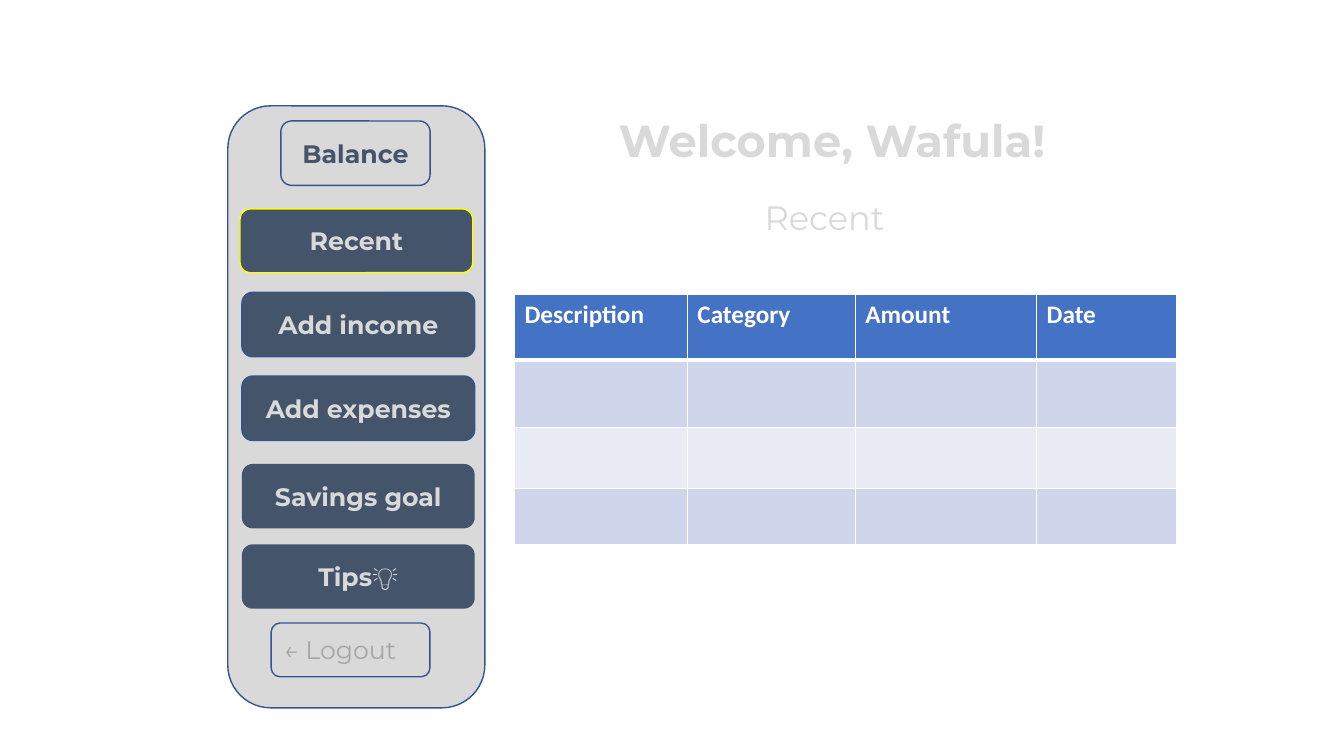
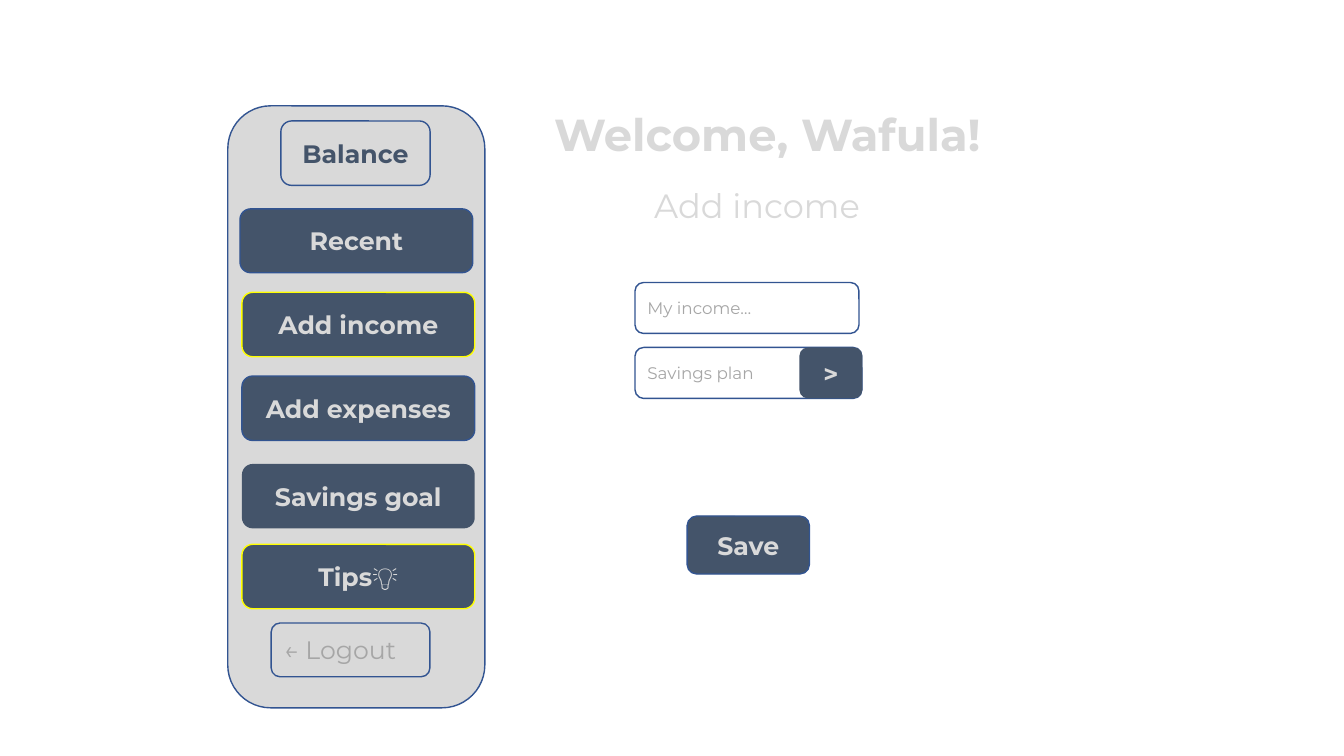
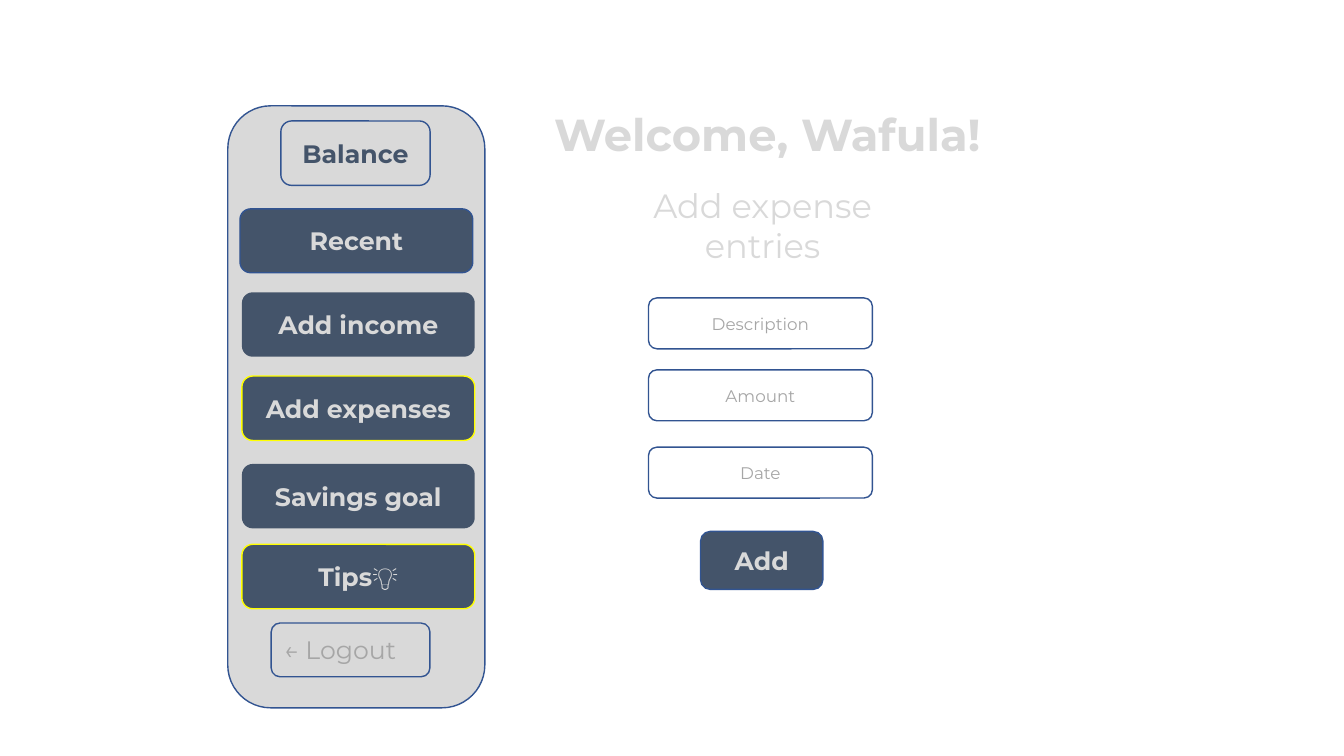
from dataclasses import dataclass

from pptx import Presentation
from pptx.dml.color import RGBColor
from pptx.enum.shapes import MSO_SHAPE
from pptx.enum.text import MSO_ANCHOR, MSO_AUTO_SIZE, PP_ALIGN
from pptx.oxml import parse_xml
from pptx.oxml.ns import nsdecls
from pptx.util import Pt


@dataclass(frozen=True)
class Theme:
    font: str = "Montserrat"
    grid_font: str = "Calibri"
    pale: str = "D9D9D9"
    navy: str = "44546A"
    edge: str = "325491"
    glow: str = "FFFF00"
    hint: str = "A6A6A6"
    white: str = "FFFFFF"
    head: str = "4472C4"
    bands: tuple = ("CFD5EA", "E9EBF5")
    title: int = 32
    topic: int = 24
    label: int = 18
    small: int = 12


T = Theme()

# label, left, top, height, outline when not lit
MENU = [
    ("Recent", 171.4, 149.2, 45.6, T.edge),
    ("Add income", 172.8, 208.8, 46, T.edge),
    ("Add expenses", 172.8, 268.6, 46, T.edge),
    ("Savings goal", 172.8, 331.4, 46, None),
    ("Tips💡", 172.8, 388.8, 46, None),
]
MENU_WIDTH = 166.3


def rgb(code):
    return RGBColor.from_string(code)


def write(frame, text, size=T.label, color=T.pale, font=T.font, bold=False,
          align=PP_ALIGN.CENTER):
    para = frame.paragraphs[0]
    para.alignment = align
    run = para.add_run()
    run.text = text
    run.font.name = font
    run.font.size = Pt(size)
    run.font.bold = bold
    run.font.color.rgb = rgb(color)


def add_box(shapes, left, top, width, height, fill=None, line=T.edge, text="", **style):
    """Draw a rounded box; a fill or line of None is left off."""
    box = shapes.add_shape(MSO_SHAPE.ROUNDED_RECTANGLE,
                           Pt(left), Pt(top), Pt(width), Pt(height))
    box.shadow.inherit = False
    if fill:
        box.fill.solid()
        box.fill.fore_color.rgb = rgb(fill)
    else:
        box.fill.background()
    if line:
        box.line.color.rgb = rgb(line)
        box.line.width = Pt(1)
    else:
        box.line.fill.background()
    if text:
        box.text_frame.vertical_anchor = MSO_ANCHOR.MIDDLE
        write(box.text_frame, text, **style)


def add_button(shapes, text, left, top, width, height, line=T.edge):
    add_box(shapes, left, top, width, height, fill=T.navy, line=line, text=text, bold=True)


def add_field(shapes, text, left, top, width=160, align=PP_ALIGN.CENTER):
    add_box(shapes, left, top, width, 36.4, text=text, size=T.small,
            color=T.hint, align=align)


def add_text(shapes, text, left, top, width, height, **style):
    frame = shapes.add_textbox(Pt(left), Pt(top), Pt(width), Pt(height)).text_frame
    frame.word_wrap = True
    frame.auto_size = MSO_AUTO_SIZE.SHAPE_TO_FIT_TEXT
    write(frame, text, **style)


def add_menu(shapes, lit, bare=()):
    """Draw the side panel; lit labels glow, bare ones lose their outline."""
    add_box(shapes, 162.7, 75.6, 183.6, 430, fill=T.pale)
    add_box(shapes, 200.6, 86.4, 106.6, 46, fill=T.pale, text="Balance",
            color=T.navy, bold=True)
    for label, left, top, height, line in MENU:
        if label in lit:
            line = T.glow
        elif label in bare:
            line = None
        add_button(shapes, label, left, top, MENU_WIDTH, height, line)
    add_box(shapes, 193.7, 445, 113.4, 38.4, text="← Logout",
            color=T.hint, align=PP_ALIGN.LEFT)


def add_page(deck, topic, lit, bare=(), title_at=(383.8, 72.7),
             topic_at=(444.2, 128.2), topic_size=(193, 36)):
    shapes = deck.slides.add_slide(deck.slide_layouts[6]).shapes
    add_menu(shapes, lit, bare)
    add_text(shapes, "Welcome, Wafula!", *title_at, 329, 46, size=T.title, bold=True)
    add_text(shapes, topic, *topic_at, *topic_size, size=T.topic)
    return shapes


def set_edges(cell, **widths):
    """Add white cell borders; widths are keyed by side, in schema order."""
    props = cell._tc.get_or_add_tcPr()
    for side, width in widths.items():
        props.append(parse_xml(
            f'<a:ln{side} {nsdecls("a")} w="{Pt(width)}"><a:solidFill>'
            f'<a:srgbClr val="{T.white}"/></a:solidFill></a:ln{side}>'))


def add_grid(shapes, heads, left, top, widths, heights):
    grid = shapes.add_table(len(heights), len(widths), Pt(left), Pt(top),
                            Pt(sum(widths)), Pt(sum(heights))).table
    for col, width in zip(grid.columns, widths):
        col.width = Pt(width)
    for num, (row, height) in enumerate(zip(grid.rows, heights)):
        row.height = Pt(height)
        fill = T.bands[(num - 1) % 2] if num else T.head
        for cell in row.cells:
            set_edges(cell, L=1, R=1, T=3 if num == 1 else 1, B=1 if num else 3)
            cell.fill.solid()
            cell.fill.fore_color.rgb = rgb(fill)
    for cell, head in zip(grid.rows[0].cells, heads):
        write(cell.text_frame, head, color=T.white, font=T.grid_font,
              bold=True, align=PP_ALIGN.LEFT)


def add_recent(deck):
    shapes = add_page(deck, "Recent", lit=["Recent"], title_at=(430, 77),
                      topic_at=(492.5, 136.8))
    add_grid(shapes, ["Description", "Category", "Amount", "Date"], 367.5, 210.2,
             widths=[123.5, 120, 129.5, 100], heights=[46.8, 48.2, 43.9, 39.6])


def add_income(deck):
    shapes = add_page(deck, "Add income", lit=["Add income", "Tips💡"])
    add_field(shapes, "My income…", 453.6, 201.8, align=PP_ALIGN.LEFT)
    plan = shapes.add_group_shape().shapes
    add_field(plan, "Savings plan", 453.6, 248.2, width=162, align=PP_ALIGN.LEFT)
    add_button(plan, ">", 571, 248.2, 45, 36.4, line=None)
    add_button(shapes, "Save", 490.8, 368.6, 87.4, 41.4)


def add_expense(deck):
    shapes = add_page(deck, "Add expense entries", lit=["Add expenses", "Tips💡"],
                      bare=["Add income"], topic_size=(201, 65.4))
    for label, top in [("Description", 212.8), ("Amount", 264.2), ("Date", 319.4)]:
        add_field(shapes, label, 463.2, top)
    add_button(shapes, "Add", 500.4, 379.6, 87.4, 41.4)


def main():
    deck = Presentation()
    deck.slide_width, deck.slide_height = Pt(960), Pt(540)
    add_recent(deck)
    add_income(deck)
    add_expense(deck)
    deck.save("out.pptx")


if __name__ == "__main__":
    main()
